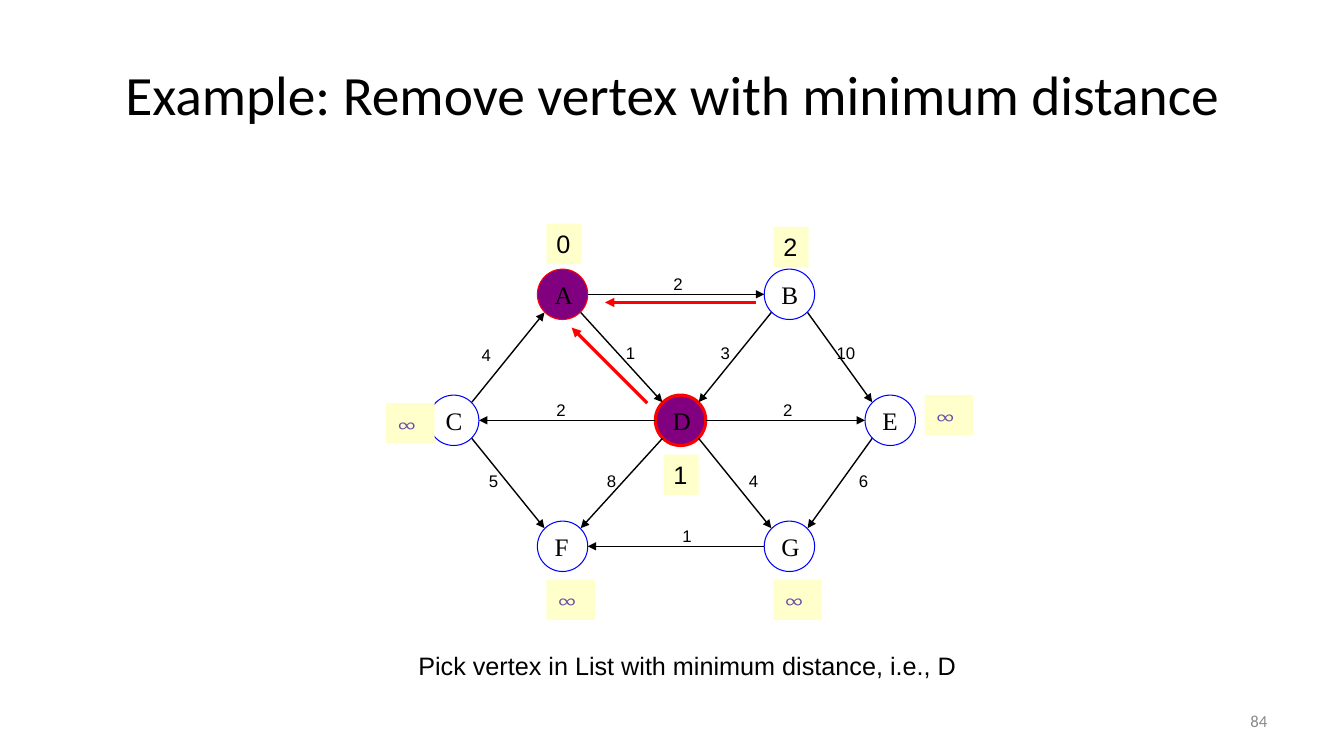
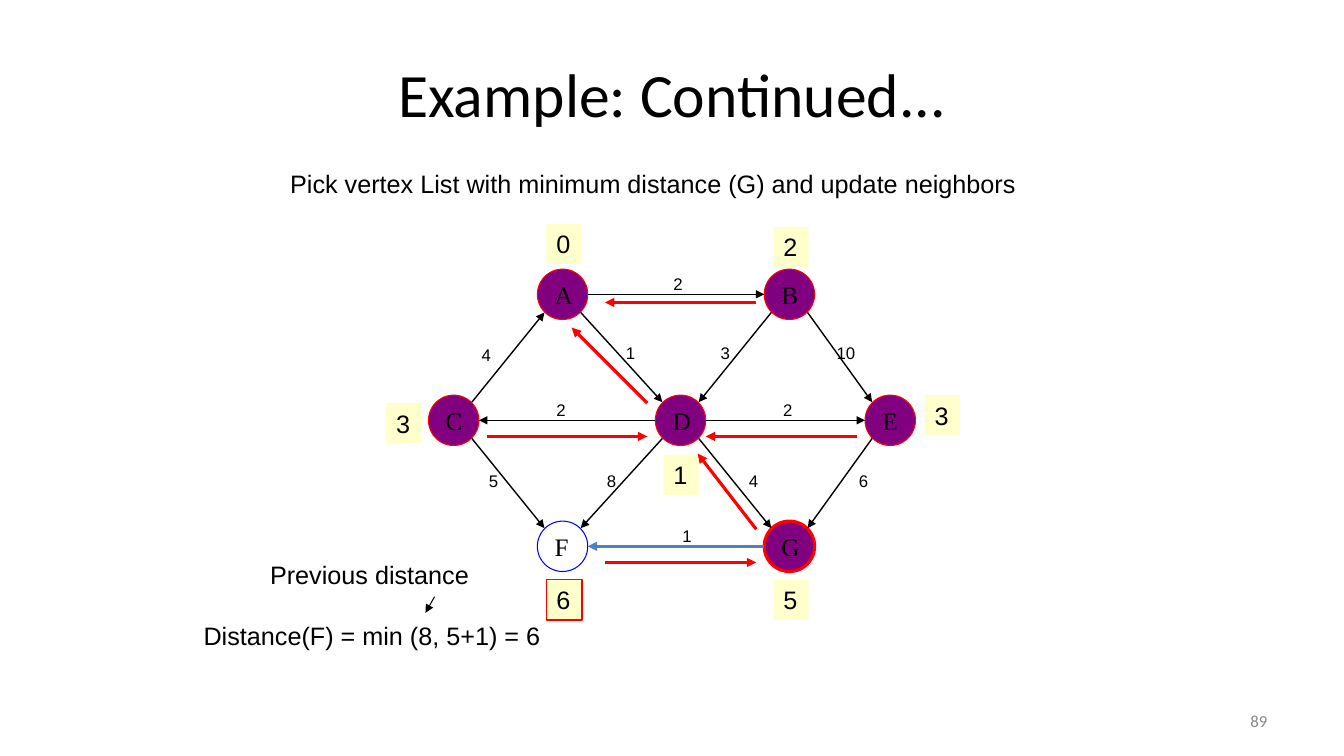
from dataclasses import dataclass
from math import copysign, sqrt
from typing import NamedTuple, Optional

from pptx import Presentation
from pptx.dml.color import RGBColor
from pptx.enum.shapes import MSO_CONNECTOR, MSO_SHAPE
from pptx.enum.text import MSO_ANCHOR, MSO_AUTO_SIZE, PP_ALIGN
from pptx.oxml.ns import qn
from pptx.util import Inches, Pt
from lxml import etree

STRAIGHT = MSO_CONNECTOR.STRAIGHT
ELLIPSE, RECTANGLE = MSO_SHAPE.OVAL, MSO_SHAPE.RECTANGLE
TOP, MIDDLE = MSO_ANCHOR.TOP, MSO_ANCHOR.MIDDLE
FIXED, GROW = MSO_AUTO_SIZE.NONE, MSO_AUTO_SIZE.SHAPE_TO_FIT_TEXT
LEFT, CENTER, RIGHT = PP_ALIGN.LEFT, PP_ALIGN.CENTER, PP_ALIGN.RIGHT


@dataclass(frozen=True)
class Theme:
    ink: RGBColor = RGBColor.from_string("000000")
    muted: RGBColor = RGBColor.from_string("898989")
    visited: RGBColor = RGBColor.from_string("800080")
    red: RGBColor = RGBColor.from_string("FF0000")
    unvisited: RGBColor = RGBColor.from_string("0000FF")
    relaxed: RGBColor = RGBColor.from_string("4F81BD")
    distance: RGBColor = RGBColor.from_string("FFFFCC")
    infinity: RGBColor = RGBColor.from_string("674EA7")
    heading_font: str = "Calibri"
    text_font: str = "Arial"
    vertex_font: str = "Times New Roman"
    symbol_font: str = "Cambria"
    text_size: float = 18
    small_size: float = 12
    hairline: float = 0.75
    edge_line: float = 1
    box_line: float = 1.25
    bold_line: float = 2.25


THEME = Theme()
RADIUS = 0.25
INFINITY = "∞"


class Point(NamedTuple):
    x: float
    y: float


class Box(NamedTuple):
    left: float
    top: float
    width: float
    height: float


class Edge(NamedTuple):
    start: str
    end: str
    weight: str
    weight_at: Point


class Arrow(NamedTuple):
    start: Point
    end: Point


class Caption(NamedTuple):
    text: str
    box: Box
    wrap: bool = False


@dataclass(frozen=True)
class Step:
    title: str
    title_size: float
    number: str
    visited: str
    current: str
    distances: dict[str, str]
    back_links: tuple[str, ...]
    captions: tuple[Caption, ...]
    relaxed_edge: str = ""
    updated: str = ""
    pointer: Optional[Arrow] = None


TITLE_BOX = Box(0.67, 0.3, 12, 1.25)
NUMBER_BOX = Box(9.56, 6.95, 3.11, 0.4)

VERTICES = {
    "A": Point(5.58, 2.92),
    "B": Point(7.83, 2.92),
    "C": Point(4.5, 4.17),
    "D": Point(6.75, 4.17),
    "E": Point(8.83, 4.17),
    "F": Point(5.58, 5.42),
    "G": Point(7.83, 5.42),
}

EDGES = (
    Edge("A", "B", "2", Point(6.58, 2.67)),
    Edge("A", "D", "1", Point(6.11, 3.35)),
    Edge("B", "D", "3", Point(7.05, 3.35)),
    Edge("B", "E", "10", Point(8.2, 3.35)),
    Edge("C", "A", "4", Point(4.68, 3.37)),
    Edge("C", "F", "5", Point(4.75, 4.62)),
    Edge("D", "C", "2", Point(5.42, 3.92)),
    Edge("D", "E", "2", Point(7.67, 3.92)),
    Edge("D", "F", "8", Point(5.92, 4.62)),
    Edge("D", "G", "4", Point(7.33, 4.62)),
    Edge("E", "G", "6", Point(8.42, 4.62)),
    Edge("G", "F", "1", Point(6.67, 5.17)),
)

DISTANCE_AT = {
    "A": Point(5.42, 2.22),
    "B": Point(7.67, 2.25),
    "C": Point(3.83, 4),
    "D": Point(6.58, 4.51),
    "E": Point(9.17, 3.92),
    "F": Point(5.42, 5.75),
    "G": Point(7.67, 5.75),
}

BACK_LINKS = {
    "DA": Arrow(Point(6.42, 4), Point(5.67, 3.25)),
    "BA": Arrow(Point(7.5, 3), Point(6, 3)),
    "ED": Arrow(Point(8.5, 4.33), Point(7, 4.33)),
    "GD": Arrow(Point(7.5, 5.25), Point(6.92, 4.5)),
    "FG": Arrow(Point(6, 5.58), Point(7.5, 5.58)),
    "CD": Arrow(Point(4.83, 4.33), Point(6.42, 4.33)),
}

STEPS = (
    Step(
        title="Example: Remove vertex with minimum distance",
        title_size=39.6,
        number="84",
        visited="AD",
        current="D",
        distances=dict(zip("ABCDEFG", ("0", "2", INFINITY, "1", INFINITY, INFINITY, INFINITY))),
        back_links=("DA", "BA"),
        captions=(
            Caption("Pick vertex in List with minimum distance, i.e., D", Box(4.05, 6.4, 5.59, 0.4)),
        ),
    ),
    Step(
        title="Example: Continued...",
        title_size=44,
        number="89",
        visited="ABCDEG",
        current="G",
        distances=dict(zip("ABCDEFG", "0231365")),
        back_links=tuple(BACK_LINKS),
        captions=(
            Caption("Distance(F) = min (8, 5+1) = 6", Box(1.92, 6.1, 3.92, 0.4), True),
            Caption("Previous distance", Box(2.58, 5.5, 2.25, 0.4), True),
            Caption("Pick vertex List with minimum distance (G) and update neighbors",
                    Box(2.78, 1.62, 7.44, 0.4)),
        ),
        relaxed_edge="GF",
        updated="F",
        pointer=Arrow(Point(4.31, 5.92), Point(4.22, 6.08)),
    ),
)


def inches(values) -> list:
    return [Inches(round(value, 2)) for value in values]


def write(shape, text: str, size: float = THEME.text_size, font: str = THEME.text_font,
          color: RGBColor = THEME.ink, align=LEFT, anchor=TOP, fit=GROW, wrap: bool = False) -> None:
    frame = shape.text_frame
    frame.text = text
    paragraph = frame.paragraphs[0]
    formats = {
        frame: {"word_wrap": wrap, "auto_size": fit, "vertical_anchor": anchor},
        paragraph: {"alignment": align},
        paragraph.runs[0].font: {"name": font, "size": Pt(size)},
    }
    for target, values in formats.items():
        for attribute, value in values.items():
            setattr(target, attribute, value)
    paragraph.runs[0].font.color.rgb = color


def add_text(slide, box: Box, text: str, **style) -> None:
    write(slide.shapes.add_textbox(*inches(box)), text, **style)


def add_figure(slide, preset, box: Box, fill: Optional[RGBColor],
               line: Optional[RGBColor], width: float):
    figure = slide.shapes.add_shape(preset, *inches(box))
    figure.shadow.inherit = False
    for part, color in ((figure.fill, fill), (figure.line.fill, line)):
        if color is None:
            part.background()
        else:
            part.solid()
            part.fore_color.rgb = color
    if line is not None:
        figure.line.width = Pt(width)
    return figure


def add_arrow(slide, arrow: Arrow, color: RGBColor, width: float) -> None:
    connector = slide.shapes.add_connector(STRAIGHT, *inches((*arrow.start, *arrow.end)))
    connector.line.color.rgb = color
    connector.line.width = Pt(width)
    properties = connector.element.spPr
    etree.SubElement(properties.find(qn("a:ln")), qn("a:tailEnd"), type="triangle")
    etree.SubElement(properties, qn("a:effectLst"))


def edge_arrow(edge: Edge) -> Arrow:
    start, end = VERTICES[edge.start], VERTICES[edge.end]
    dx, dy = end.x - start.x, end.y - start.y
    reach = RADIUS * sqrt(0.5) if dy else RADIUS
    shift_x = copysign(reach, dx)
    shift_y = copysign(reach, dy) if dy else 0
    return Arrow(Point(start.x + shift_x, start.y + shift_y),
                 Point(end.x - shift_x, end.y - shift_y))


def add_vertex(slide, name: str, step: Step) -> None:
    center = VERTICES[name]
    visited = name in step.visited
    circle = add_figure(
        slide, ELLIPSE, Box(center.x - RADIUS, center.y - RADIUS, 2 * RADIUS, 2 * RADIUS),
        THEME.visited if visited else None,
        THEME.red if visited else THEME.unvisited,
        THEME.bold_line if name == step.current else THEME.hairline)
    write(circle, name, font=THEME.vertex_font, anchor=MIDDLE, fit=FIXED)


def add_edge(slide, edge: Edge, step: Step) -> None:
    relaxed = edge.start + edge.end == step.relaxed_edge
    add_arrow(slide, edge_arrow(edge), THEME.relaxed if relaxed else THEME.ink,
              THEME.bold_line if relaxed else THEME.edge_line)


def add_weight(slide, edge: Edge) -> None:
    width = 0.2 + 0.1 * len(edge.weight)
    add_text(slide, Box(*edge.weight_at, width, 0.3), edge.weight,
             size=THEME.small_size, anchor=MIDDLE)


def add_distance(slide, name: str, step: Step) -> None:
    value = step.distances[name]
    unknown = value == INFINITY
    label = add_figure(
        slide, RECTANGLE, Box(*DISTANCE_AT[name], 0.48 if unknown else 0.35, 0.4),
        THEME.distance, THEME.red if name == step.updated else None, THEME.box_line)
    write(label, value, font=THEME.symbol_font if unknown else THEME.text_font,
          color=THEME.infinity if unknown else THEME.ink)


def add_frame(slide, step: Step) -> None:
    title = slide.shapes.title
    for attribute, value in zip(Box._fields, inches(TITLE_BOX)):
        setattr(title, attribute, value)
    write(title, step.title, size=step.title_size, font=THEME.heading_font,
          align=CENTER, anchor=MIDDLE, fit=FIXED, wrap=True)
    add_text(slide, NUMBER_BOX, step.number, size=THEME.small_size, font=THEME.heading_font,
             color=THEME.muted, align=RIGHT, anchor=MIDDLE, fit=FIXED, wrap=True)


def add_step(deck, step: Step) -> None:
    slide = deck.slides.add_slide(deck.slide_layouts.get_by_name("Title Only"))
    add_frame(slide, step)
    for name in VERTICES:
        add_vertex(slide, name, step)
    for edge in EDGES:
        add_edge(slide, edge, step)
    for edge in EDGES:
        add_weight(slide, edge)
    for name in VERTICES:
        add_distance(slide, name, step)
    for link in step.back_links:
        add_arrow(slide, BACK_LINKS[link], THEME.red, THEME.bold_line)
    for caption in step.captions:
        add_text(slide, caption.box, caption.text, wrap=caption.wrap)
    if step.pointer:
        add_arrow(slide, step.pointer, THEME.ink, THEME.hairline)


def main() -> None:
    deck = Presentation()
    deck.slide_width, deck.slide_height = Inches(13.33), Inches(7.5)
    for step in STEPS:
        add_step(deck, step)
    deck.save("out.pptx")


if __name__ == "__main__":
    main()
